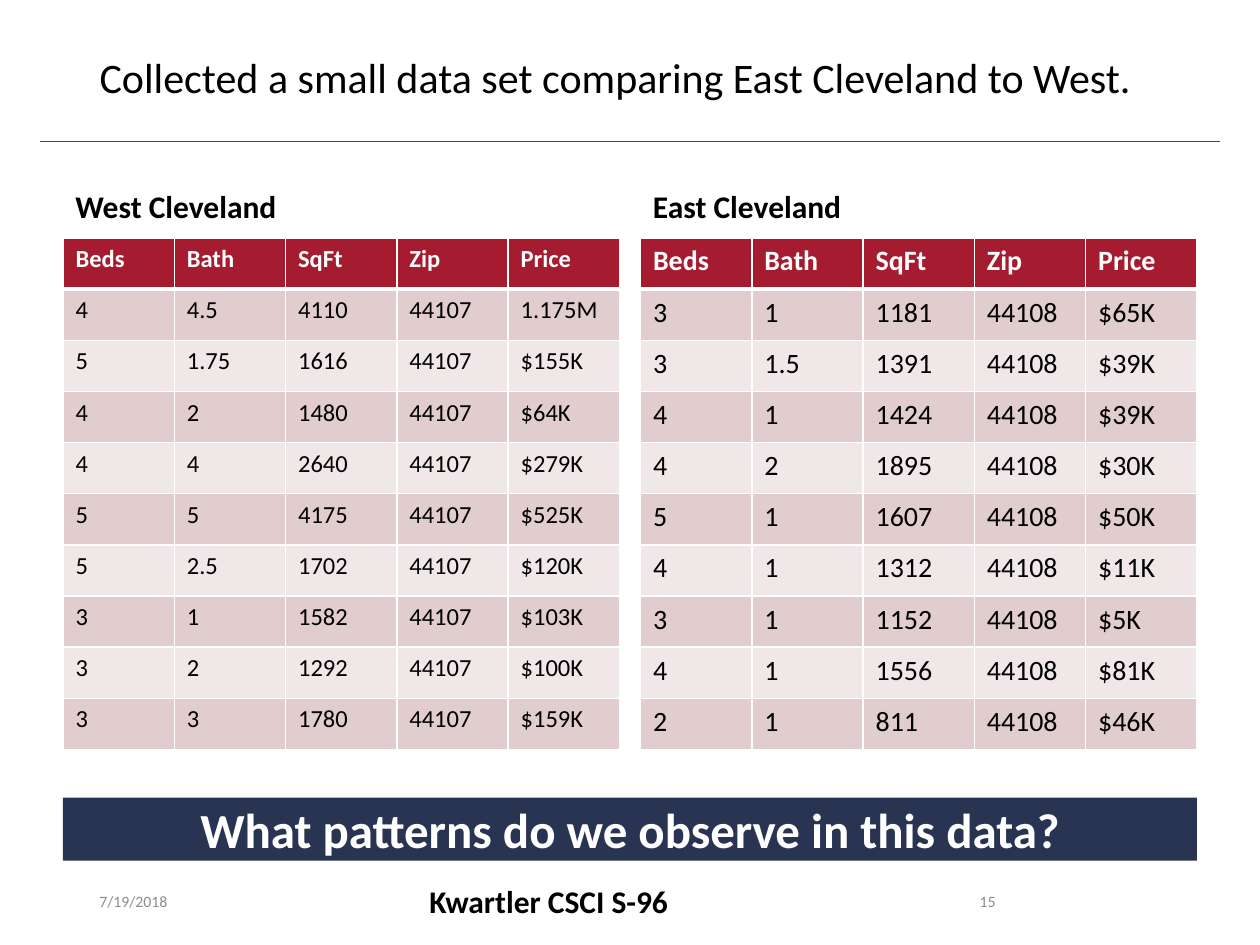
"""Build a slide comparing house listings in West and East Cleveland."""
from dataclasses import dataclass

from lxml.etree import SubElement
from pptx import Presentation
from pptx.dml.color import RGBColor
from pptx.enum.shapes import MSO_CONNECTOR, MSO_SHAPE
from pptx.enum.text import MSO_ANCHOR as ANCHOR, MSO_AUTO_SIZE as AUTO, PP_ALIGN as ALIGN
from pptx.oxml.ns import qn
from pptx.util import Pt

FONT = "Calibri"
BLACK = RGBColor(0x00, 0x00, 0x00)
WHITE = RGBColor(0xFF, 0xFF, 0xFF)
CRIMSON = RGBColor(0xA5, 0x1C, 0x30)
ROSE = RGBColor(0xE1, 0xCD, 0xCD)
PALE = RGBColor(0xF0, 0xE8, 0xE8)
NAVY = RGBColor(0x29, 0x33, 0x52)
GREY = RGBColor(0x8C, 0x8C, 0x8C)

HEADERS = ("Beds", "Bath", "SqFt", "Zip", "Price")
HEADING_TOP, HEADING_H = 98.6, 33.8
TABLE_TOP, TABLE_W, TABLE_H = 136, 318, 292.3
FOOTER_TOP, FOOTER_H = 500.4, 28.8


@dataclass(frozen=True)
class Label:
    text: str
    left: float
    top: float
    width: float
    height: float
    size: float
    color: RGBColor = BLACK
    bold: bool = False
    anchor: ANCHOR = ANCHOR.MIDDLE
    align: ALIGN = ALIGN.LEFT
    spacing: float = 1.0


@dataclass(frozen=True)
class Area:
    name: str
    left: float
    size: float
    zip_code: str
    homes: tuple[tuple[str, str, str, str], ...]


AREAS = (
    Area("West Cleveland", 36, 14, "44107", (
        ("4", "4.5", "4110", "1.175M"),
        ("5", "1.75", "1616", "$155K"),
        ("4", "2", "1480", "$64K"),
        ("4", "4", "2640", "$279K"),
        ("5", "5", "4175", "$525K"),
        ("5", "2.5", "1702", "$120K"),
        ("3", "1", "1582", "$103K"),
        ("3", "2", "1292", "$100K"),
        ("3", "3", "1780", "$159K"),
    )),
    Area("East Cleveland", 366, 16, "44108", (
        ("3", "1", "1181", "$65K"),
        ("3", "1.5", "1391", "$39K"),
        ("4", "1", "1424", "$39K"),
        ("4", "2", "1895", "$30K"),
        ("5", "1", "1607", "$50K"),
        ("4", "1", "1312", "$11K"),
        ("3", "1", "1152", "$5K"),
        ("4", "1", "1556", "$81K"),
        ("2", "1", "811", "$46K"),
    )),
)

TITLE = Label("Collected a small data set comparing East Cleveland to West.",
              49.7, 28.8, 620.6, 46.8, 24, anchor=ANCHOR.TOP, spacing=0.9)
BANNER = Label("What patterns do we observe in this data?",
               36, 455.8, 648, 36, 28, WHITE, True, align=ALIGN.CENTER)
FOOTERS = (
    Label("7/19/2018", 49.7, FOOTER_TOP, 162, FOOTER_H, 9, GREY),
    Label("Kwartler CSCI S-96", 238.3, FOOTER_TOP, 243.4, FOOTER_H, 18,
          bold=True, anchor=ANCHOR.BOTTOM),
    Label("15", 508.3, FOOTER_TOP, 67.7, FOOTER_H, 9, GREY, align=ALIGN.RIGHT),
)


def style_paragraph(p, size: float, color: RGBColor, bold: bool) -> None:
    p.font.name = FONT
    p.font.size = Pt(size)
    p.font.bold = bold
    p.font.color.rgb = color


def write_label(sp, label: Label) -> None:
    tf = sp.text_frame
    tf.text = label.text
    tf.word_wrap = True
    tf.auto_size = AUTO.NONE
    tf.vertical_anchor = label.anchor
    p = tf.paragraphs[0]
    p.alignment = label.align
    p.line_spacing = label.spacing
    style_paragraph(p, label.size, label.color, label.bold)


def box(label: Label) -> tuple[Pt, ...]:
    return tuple(Pt(v) for v in (label.left, label.top, label.width, label.height))


def add_label(s, label: Label) -> None:
    write_label(s.shapes.add_textbox(*box(label)), label)


def add_title(s, label: Label) -> None:
    sp = s.shapes.title
    sp.left, sp.top, sp.width, sp.height = box(label)
    write_label(sp, label)


def add_rule(s) -> None:
    line = s.shapes.add_connector(MSO_CONNECTOR.STRAIGHT, Pt(23), Pt(80.6), Pt(697), Pt(80.6))
    line.line.color.rgb = CRIMSON
    line.line.width = Pt(0.5)
    SubElement(line._element.spPr, qn("a:effectLst"))


def add_banner(s, label: Label) -> None:
    sp = s.shapes.add_shape(MSO_SHAPE.RECTANGLE, *box(label))
    sp.shadow.inherit = False
    sp.fill.solid()
    sp.fill.fore_color.rgb = NAVY
    sp.line.fill.background()
    write_label(sp, label)


def set_borders(cell, top: float, bottom: float) -> None:
    tc_pr = cell._tc.get_or_add_tcPr()
    for side, width in (("L", 1), ("R", 1), ("T", top), ("B", bottom)):
        ln = SubElement(tc_pr, qn(f"a:ln{side}"), w=str(Pt(width)))
        fill = SubElement(ln, qn("a:solidFill"))
        SubElement(fill, qn("a:srgbClr"), val=str(WHITE))


def add_area(s, area: Area) -> None:
    add_label(s, Label(area.name, area.left, HEADING_TOP, TABLE_W, HEADING_H, 18,
                       bold=True, anchor=ANCHOR.BOTTOM, spacing=0.9))
    rows = [HEADERS] + [(*home[:3], area.zip_code, home[3]) for home in area.homes]
    table = s.shapes.add_table(len(rows), len(HEADERS), Pt(area.left), Pt(TABLE_TOP),
                               Pt(TABLE_W), Pt(TABLE_H)).table
    for i, row in enumerate(rows):
        header = i == 0
        for j, text in enumerate(row):
            cell = table.cell(i, j)
            cell.text = text
            set_borders(cell, 3 if i == 1 else 1, 3 if header else 1)
            cell.fill.solid()
            cell.fill.fore_color.rgb = CRIMSON if header else ROSE if i % 2 else PALE
            style_paragraph(cell.text_frame.paragraphs[0], area.size,
                            WHITE if header else BLACK, header)


def main() -> None:
    prs = Presentation()
    prs.slide_width, prs.slide_height = Pt(720), Pt(540)
    s = prs.slides.add_slide(prs.slide_layouts[5])
    add_rule(s)
    add_title(s, TITLE)
    for area in AREAS:
        add_area(s, area)
    add_banner(s, BANNER)
    for label in FOOTERS:
        add_label(s, label)
    prs.save("out.pptx")


if __name__ == "__main__":
    main()
